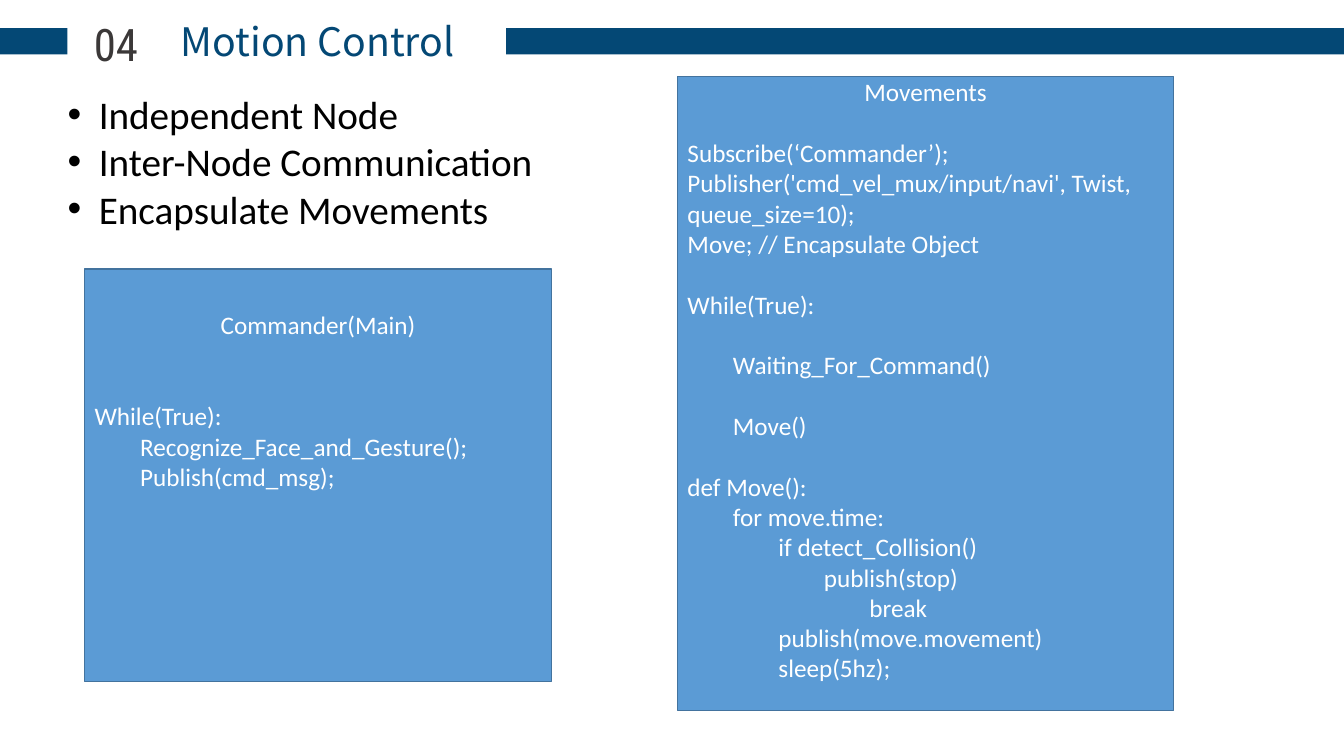
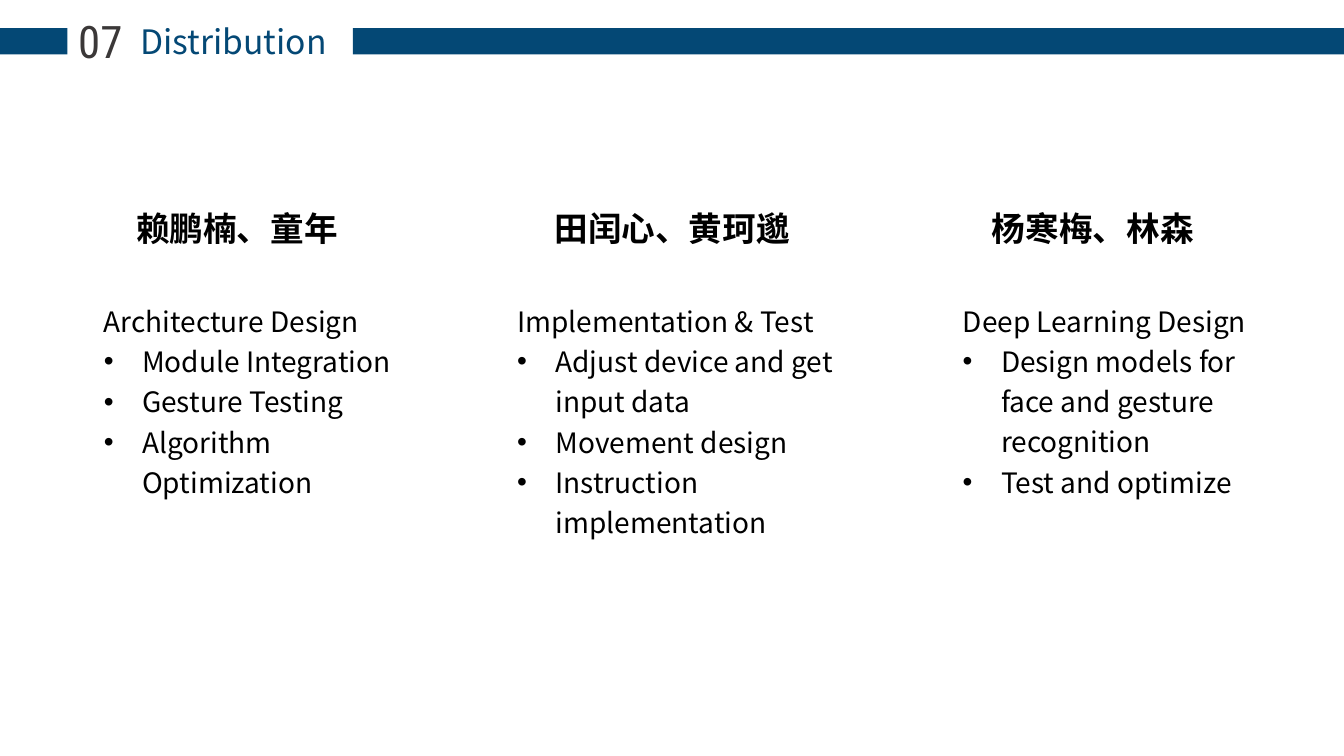
"""Build the Motion Control and Distribution slides."""
import pptx
import pptx.chart.data
import pptx.dml.color
import pptx.enum.shapes
import pptx.enum.text
import pptx.oxml.ns
import pptx.util
from lxml import etree

Inches = pptx.util.Inches
Pt = pptx.util.Pt
ALIGN = pptx.enum.text.PP_ALIGN

COLORS = {
    "navy": "044875",
    "gray": "3B3838",
    "black": "000000",
    "white": "FFFFFF",
    "panel": "5B9BD5",
    "outline": "43739E",
}
LATIN, CJK, DIGITS = "Calibri", "Noto Sans CJK SC", "Roboto Condensed"
SLIDE_W, SLIDE_H = 13.33, 7.5
BAND_TOP, BAND_H, LEFT_BAND_W = 0.28, 0.26, 0.67
CODE_SIZE, CODE_LINE = 18, 21.8

GOALS = ["Independent Node", "Inter-Node Communication", "Encapsulate Movements"]
MOVEMENTS = [
    [
        "Subscribe(‘Commander’);",
        "Publisher('cmd_vel_mux/input/navi', Twist, queue_size=10);",
        "Move; // Encapsulate Object",
    ],
    ["While(True):"],
    ["        Waiting_For_Command()"],
    ["        Move()"],
    [
        "def Move():",
        "        for move.time:",
        "                if detect_Collision()",
        "                        publish(stop)",
        "                                break",
        "                publish(move.movement)",
        "                sleep(5hz);",
    ],
]
COMMANDER = [
    [
        "While(True):",
        "        Recognize_Face_and_Gesture();",
        "        Publish(cmd_msg);",
    ],
]
TEAMS = [
    ("赖鹏楠、童年", 1.25, (0.93, 2.9, 3.52, 2.09), "Architecture Design",
     ["Module Integration", "Gesture Testing", "Algorithm Optimization"]),
    ("田闰心、黄珂邈", 5.4, (5.03, 2.9, 3.67, 2.49), "Implementation & Test",
     ["Adjust device and get input data", "Movement design",
      "Instruction implementation"]),
    ("杨寒梅、林森", 9.74, (9.45, 2.9, 3.35, 2.09), "Deep Learning Design",
     ["Design models for face and gesture recognition", "Test and optimize"]),
]


def rgb(name):
    """Return the named colour."""
    return pptx.dml.color.RGBColor.from_string(COLORS[name])


def add_rect(s, box, fill, line=None):
    """Add a flat rectangle, outlined if a line colour is given."""
    shape = s.shapes.add_shape(
        pptx.enum.shapes.MSO_SHAPE.RECTANGLE, *map(Inches, box))
    shape.shadow.inherit = False
    shape.fill.solid()
    shape.fill.fore_color.rgb = rgb(fill)
    if line:
        shape.line.color.rgb = rgb(line)
        shape.line.width = Pt(1)
    else:
        shape.line.fill.background()
    return shape


def text_frame(s, box, holder=None):
    """Place a placeholder, or a new text box, and return its text frame."""
    if holder is None:
        holder = s.shapes.add_textbox(*map(Inches, box))
    holder.left, holder.top, holder.width, holder.height = map(Inches, box)
    tf = holder.text_frame
    tf.word_wrap = True
    tf.auto_size = pptx.enum.text.MSO_AUTO_SIZE.NONE
    tf.vertical_anchor = pptx.enum.text.MSO_ANCHOR.TOP
    return tf


def add_paragraph(tf, text, size, font, color, bold=False, align=ALIGN.LEFT,
                  before=0, spacing=1.0, indent=0):
    """Add one paragraph, bulleted if it has an indent."""
    p = tf.paragraphs[0] if not tf.paragraphs[0].runs else tf.add_paragraph()
    p.alignment = align
    p.line_spacing = spacing
    p.space_before = Pt(before)
    p.space_after = Pt(0)
    qn = pptx.oxml.ns.qn
    pPr = p._p.get_or_add_pPr()
    pPr.set("marL", str(Inches(indent)))
    pPr.set("indent", str(-Inches(indent)))
    if indent:
        etree.SubElement(pPr, qn("a:buFont"), typeface="Arial")
        etree.SubElement(pPr, qn("a:buChar"), char="•")
    else:
        etree.SubElement(pPr, qn("a:buNone"))
    r = p.add_run()
    r.text = text
    r.font.size = Pt(size)
    r.font.name = font
    r.font.bold = bold
    r.font.color.rgb = rgb(color)
    etree.SubElement(r._r.get_or_add_rPr(), qn("a:ea"), typeface=font)


def add_header(s, number, number_box, title, title_box, size, band_left):
    """Add the split band with the section number and title."""
    for left, width in ((0, LEFT_BAND_W), (band_left, SLIDE_W - band_left)):
        add_rect(s, (left, BAND_TOP, width, BAND_H), "navy")
    tf = text_frame(s, title_box, s.shapes.title)
    add_paragraph(tf, title, size, CJK, "navy", align=ALIGN.CENTER)
    tf = text_frame(s, number_box)
    add_paragraph(tf, number, 32, DIGITS, "gray", align=ALIGN.CENTER)


def add_code_panel(s, box, top_inset, title, blocks, title_gap=1):
    """Add a panel with a centred title and blocks of code."""
    tf = text_frame(s, box, add_rect(s, box, "panel", "outline"))
    tf.margin_top = Inches(top_inset)
    add_paragraph(tf, title, CODE_SIZE, LATIN, "white", align=ALIGN.CENTER)
    for b, block in enumerate(blocks):
        gap = 1 if b else title_gap
        for i, line in enumerate(block):
            add_paragraph(tf, line, CODE_SIZE, LATIN, "white",
                          before=0 if i else gap * CODE_LINE)


def add_team(s, team, holders):
    """Add one team's names and list of tasks."""
    names, names_left, box, role, tasks = team
    tf = text_frame(s, (names_left, 2.01, 2.81, 0.5), next(holders, None))
    add_paragraph(tf, names, 24, CJK, "black", bold=True)
    tf = text_frame(s, box, next(holders, None))
    add_paragraph(tf, role, 20, CJK, "black", spacing=1.2)
    for task in tasks:
        add_paragraph(tf, task, 20, CJK, "black", spacing=1.2, indent=0.38)


def build_motion(prs):
    """Build the Motion Control slide."""
    s = prs.slides.add_slide(prs.slide_layouts.get_by_name("Title and Content"))
    add_header(s, "04", (0.57, 0.12, 1.16, 0.64),
               "Motion Control", (1.41, 0.12, 3.48, 0.57), 28, 5.02)
    tf = text_frame(s, (0.57, 0.85, 5.26, 1.51), s.placeholders[1])
    for goal in GOALS:
        add_paragraph(tf, goal, 28, LATIN, "black", indent=0.31)
    add_code_panel(s, (6.72, 0.76, 4.92, 6.29), 0, "Movements", MOVEMENTS)
    add_code_panel(s, (0.84, 2.67, 4.63, 4.09), 0.4, "Commander(Main)",
                   COMMANDER, title_gap=2)


def build_distribution(prs):
    """Build the Distribution slide."""
    s = prs.slides.add_slide(prs.slide_layouts.get_by_name("Comparison"))
    holders = iter(list(s.placeholders)[1:])
    add_header(s, "07", (0.6, 0.09, 0.79, 0.64),
               "Distribution", (0.7, 0.16, 3.23, 0.5), 24, 3.5)
    for team in TEAMS:
        add_team(s, team, holders)


def main():
    """Build and save the presentation."""
    prs = pptx.Presentation()
    prs.slide_width, prs.slide_height = Inches(SLIDE_W), Inches(SLIDE_H)
    build_motion(prs)
    build_distribution(prs)
    prs.save("out.pptx")


if __name__ == "__main__":
    main()
